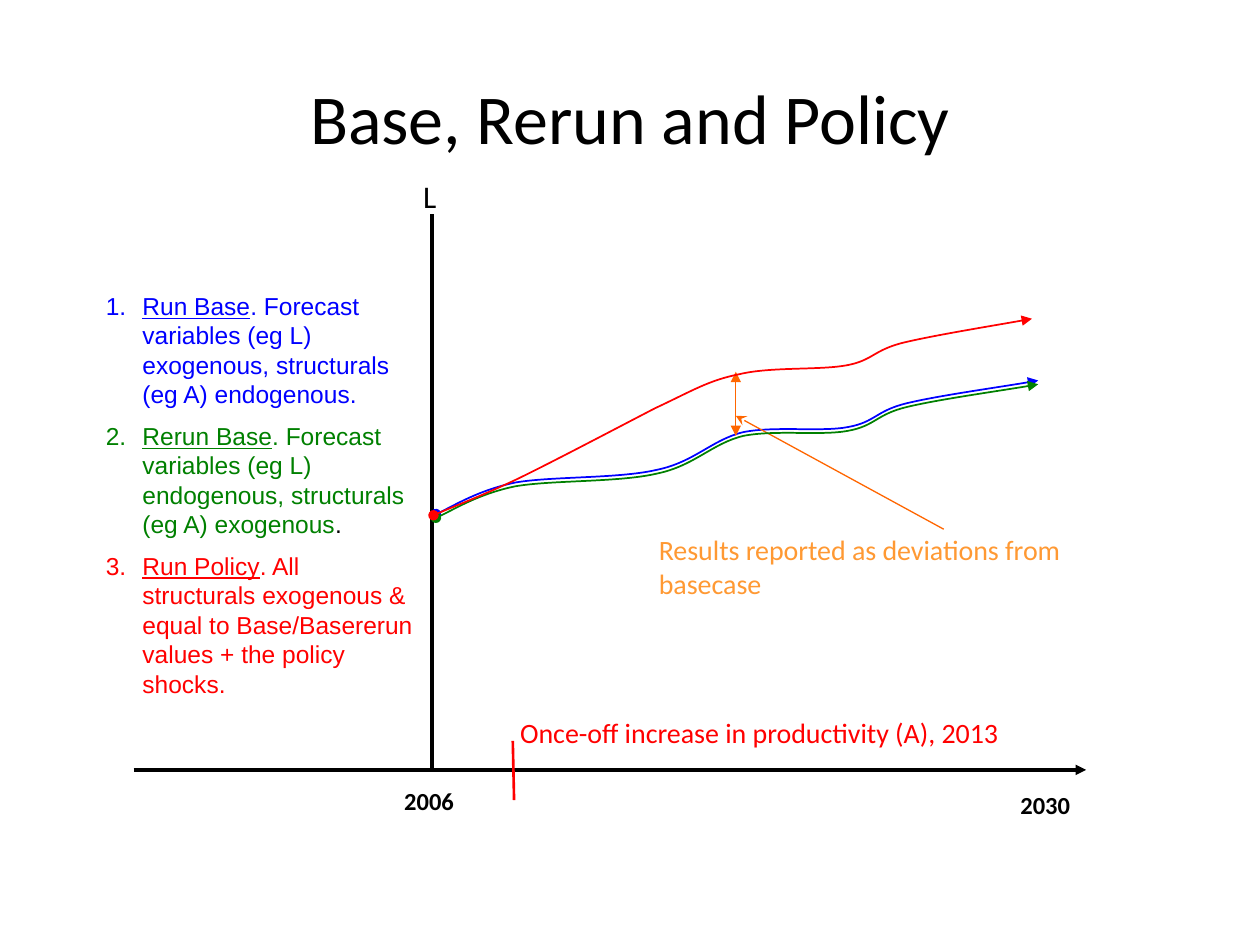
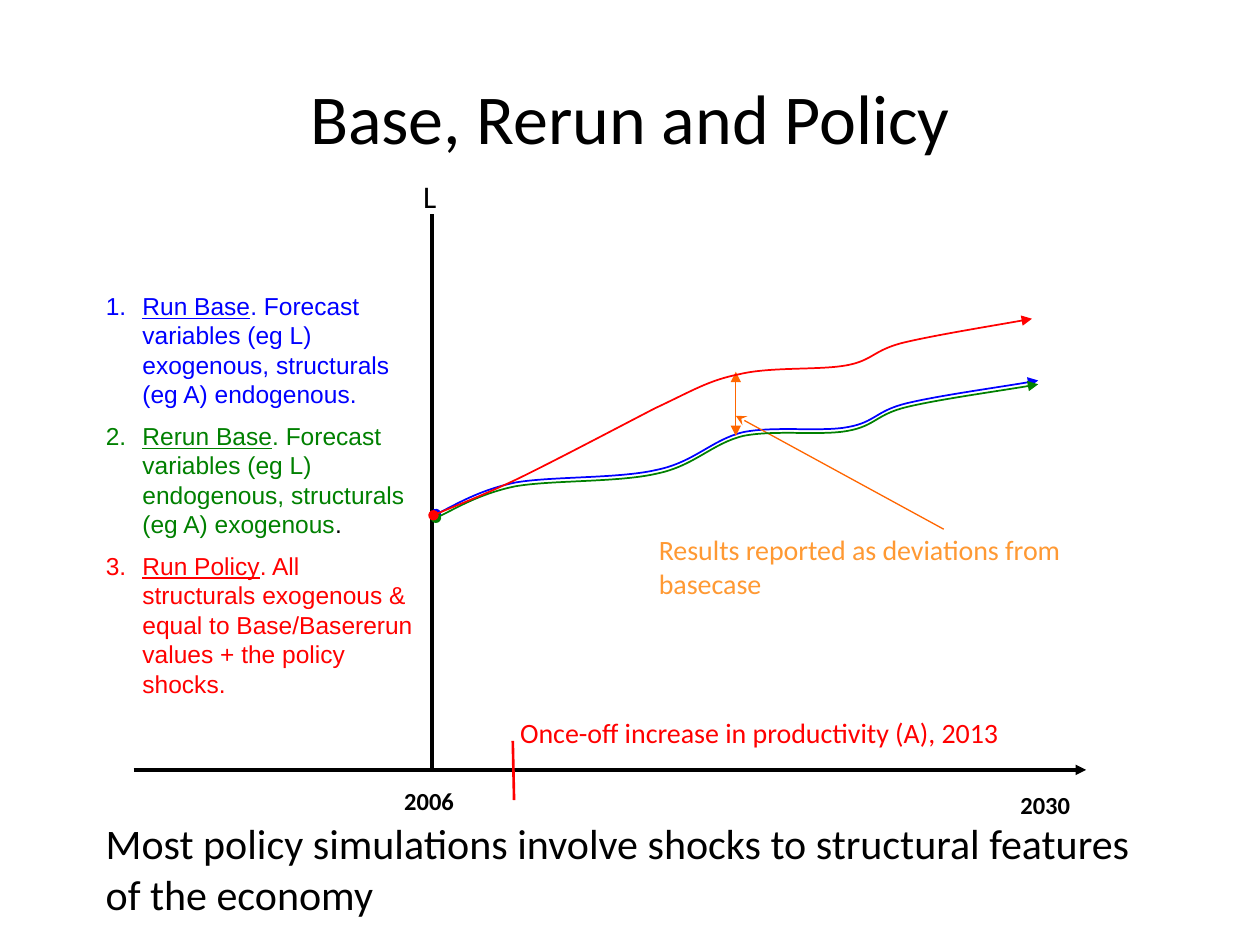
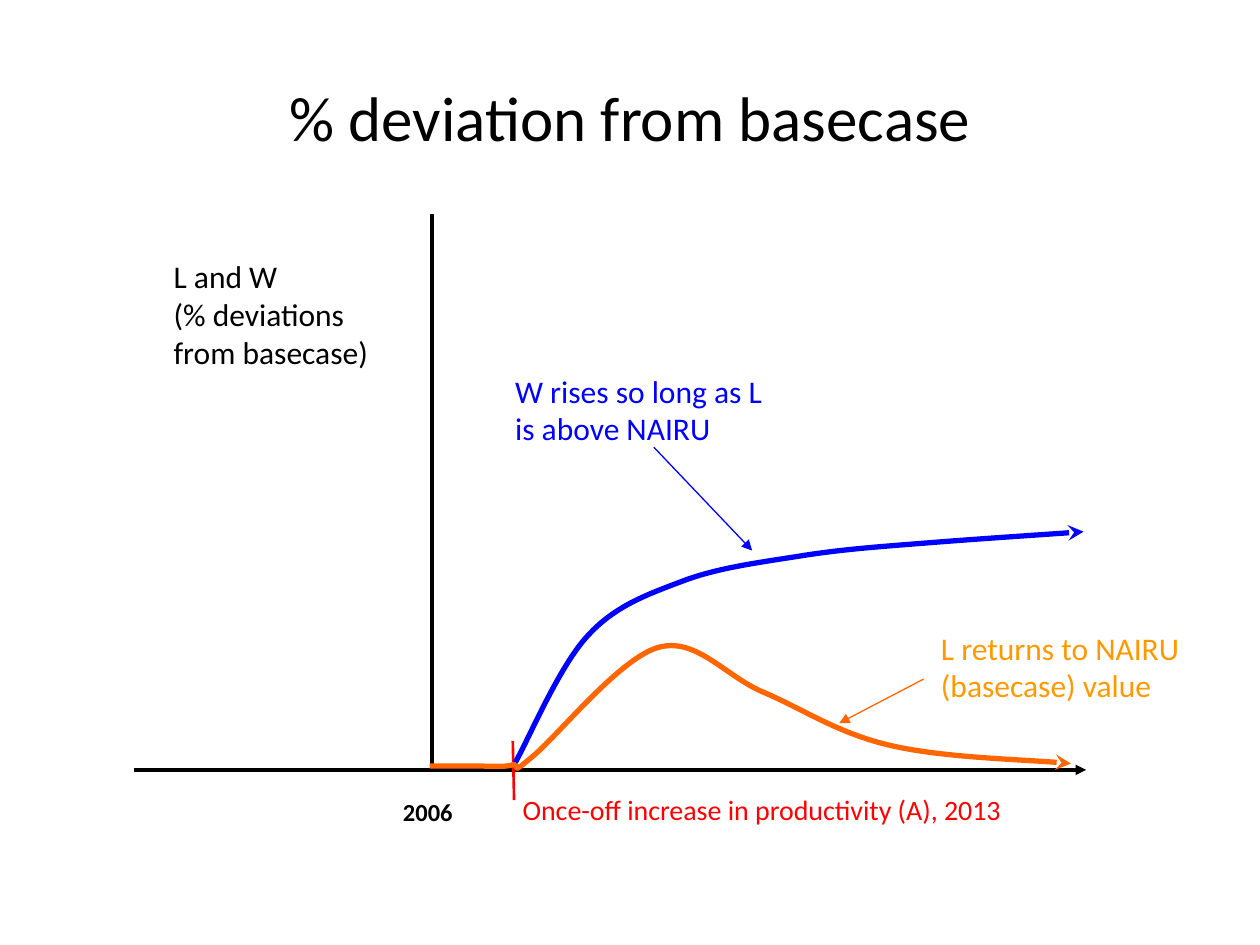
import pptx
import pptx.dml.color
import pptx.enum.shapes
import pptx.enum.text
import pptx.oxml
import pptx.oxml.ns
import pptx.util

COLOURS = {
    "ink": "000000",
    "base": "0000FF",
    "rerun": "008000",
    "policy": "FF0000",
    "deviation": "FF6600",
    "callout": "FF9933",
    "nairu": "FF9900",
}
qn = pptx.oxml.ns.qn
Pt = pptx.util.Pt

deck = pptx.Presentation()
deck.slide_width = pptx.util.Inches(10)
deck.slide_height = pptx.util.Inches(7.5)
COLUMN = deck.slide_width / 10
ROW = deck.slide_height / 7.5


def write(paragraph, text, size, colour, font="Calibri", bold=False, underline=False):
    run = paragraph.add_run()
    run.text = text
    run.font.name = font
    run.font.size = Pt(size)
    run.font.bold = bold
    run.font.underline = underline
    run.font.color.rgb = pptx.dml.color.RGBColor.from_string(COLOURS[colour])


def draw_stroke(shapes, points, colour, width, head="none", tail="none"):
    """Two points give a straight line; more give a chain of Bezier curves."""
    grid = [(round(x * COLUMN), round(y * ROW)) for x, y in points]
    if len(grid) == 2:
        stroke = shapes.add_connector(
            pptx.enum.shapes.MSO_CONNECTOR.STRAIGHT, *grid[0], *grid[1])
    else:
        builder = shapes.build_freeform(*grid[0])
        builder.add_line_segments(grid[1:], close=False)
        stroke = builder.convert_to_shape()
        stroke.fill.background()
        path = stroke._element.spPr.find(".//" + qn("a:path"))
        segments = path.findall(qn("a:lnTo"))
        for start in range(0, len(segments), 3):
            curve = pptx.oxml.parse_xml(f"<a:cubicBezTo {pptx.oxml.ns.nsdecls('a')}/>")
            for segment in segments[start:start + 3]:
                curve.append(segment[0])
                path.remove(segment)
            path.append(curve)
    stroke.line.color.rgb = pptx.dml.color.RGBColor.from_string(COLOURS[colour])
    stroke.line.width = Pt(width)
    properties = stroke._element.spPr
    outline = properties.find(qn("a:ln"))
    for end, kind in (("headEnd", head), ("tailEnd", tail)):
        outline.append(pptx.oxml.parse_xml(
            f'<a:{end} {pptx.oxml.ns.nsdecls("a")} type="{kind}"/>'))
    properties.append(pptx.oxml.parse_xml(f"<a:effectLst {pptx.oxml.ns.nsdecls('a')}/>"))


# Strokes: points, colour, width, head, tail
axes = [
    ([(1.06, 6.11), (8.62, 6.11)], "ink", 2, "none", "triangle"),
    ([(3.43, 6.11), (3.43, 1.7)], "ink", 2),
    ([(4.07, 5.88), (4.08, 6.35)], "policy", 1.5),
]
base_path = [
    (3.46, 4.08), (3.56, 4.04), (3.8, 3.89), (4.09, 3.83),
    (4.38, 3.78), (4.91, 3.8), (5.21, 3.73), (5.51, 3.67), (5.65, 3.49), (5.9, 3.43),
    (6.15, 3.38), (6.52, 3.43), (6.73, 3.39), (6.95, 3.35), (6.95, 3.26), (7.2, 3.2),
    (7.45, 3.14), (8.03, 3.06), (8.24, 3.02),
]
rerun_path = [(x, y + 0.03) for x, y in base_path]
policy_path = [
    (3.44, 4.09), (3.55, 4.04), (3.79, 3.95), (4.09, 3.81),
    (4.38, 3.67), (4.91, 3.39), (5.2, 3.24), (5.5, 3.1), (5.62, 3.02), (5.87, 2.97),
    (6.12, 2.91), (6.5, 2.94), (6.72, 2.9), (6.93, 2.86), (6.93, 2.78), (7.17, 2.72),
    (7.42, 2.66), (7.98, 2.57), (8.19, 2.53),
]
forecast_strokes = [
    (base_path, "base", 1, "oval", "triangle"),
    ([(5.84, 2.95), (5.84, 3.46)], "deviation", 0.75, "triangle", "triangle"),
    ([(5.84, 3.3), (7.49, 4.2)], "deviation", 0.75, "stealth"),
    (rerun_path, "rerun", 1, "oval", "triangle"),
    (policy_path, "policy", 1, "oval", "triangle"),
]
employment_path = [
    (3.41, 6.08), (3.48, 6.08), (3.69, 6.08), (3.8, 6.08),
    (3.91, 6.08), (4.01, 6.09), (4.07, 6.07), (4.14, 6.06), (4.03, 6.17), (4.22, 6.01),
    (4.41, 5.86), (4.91, 5.23), (5.22, 5.14), (5.52, 5.05), (5.75, 5.36), (6.05, 5.49),
    (6.36, 5.62), (6.63, 5.81), (7.04, 5.91), (7.45, 6.01), (8.2, 6.03), (8.5, 6.06),
]
wage_path = [
    (4.09, 6.05), (4.19, 5.88), (4.44, 5.28), (4.67, 5.04),
    (4.89, 4.8), (5.16, 4.71), (5.45, 4.6), (5.73, 4.5), (6.06, 4.46), (6.37, 4.41),
    (6.69, 4.36), (6.97, 4.34), (7.35, 4.31), (7.72, 4.28), (8.34, 4.24), (8.6, 4.22),
]
deviation_strokes = [
    (employment_path, "deviation", 3, "none", "stealth"),
    (wage_path, "base", 3, "none", "stealth"),
    ([(5.19, 3.55), (5.97, 4.37)], "base", 0.75, "none", "triangle"),
    ([(7.33, 5.39), (6.66, 5.74)], "deviation", 0.75, "none", "triangle"),
]

# Labels: left, top, width, height, lines, size, colour, bold
shock = "Once-off increase in productivity (A), 2013"
forecast_labels = [
    (3.26, 1.36, 0.62, 0.4, ["L"], 18, "ink", False),
    (5.13, 4.18, 4.08, 0.64, ["Results reported as deviations from basecase"], 16, "callout", False),
    (4.03, 5.63, 4.74, 0.37, [shock], 16, "policy", False),
    (8, 6.22, 0.77, 0.33, ["2030"], 14, "ink", True),
    (3.11, 6.19, 0.77, 0.33, ["2006"], 14, "ink", True),
]
conclusion = (0.74, 6.44, 8.59, 0.91, [
    "Most policy simulations involve shocks to structural features of the economy",
], 24, "ink", False)
deviation_labels = [
    (3.1, 6.28, 0.77, 0.33, ["2006"], 14, "ink", True),
    (1.28, 1.99, 1.99, 1.01, ["L and W", "(% deviations from basecase)"], 18, "ink", False),
    (4.05, 6.24, 4.74, 0.37, [shock], 16, "policy", False),
    (3.99, 2.9, 2.23, 0.7, ["W rises so long as L is above NAIRU"], 18, "base", False),
    (7.37, 4.94, 2.23, 0.7, ["L returns to NAIRU (basecase) value"], 18, "nairu", False),
]

# Steps: name, explanation, colour, full stop in ink
steps = [
    ("Run Base", ". Forecast variables (eg L) exogenous, structurals (eg A) endogenous.",
     "base", ""),
    ("Rerun Base", ". Forecast variables (eg L) endogenous, structurals (eg A) exogenous",
     "rerun", "."),
    ("Run Policy", ". All structurals exogenous & equal to Base/Basererun values + the policy shocks.",
     "policy", ""),
]

forecast_title = "Base, Rerun and Policy"
slides = [
    (forecast_title, 40, steps, forecast_strokes, forecast_labels),
    (forecast_title, 40, steps, forecast_strokes, forecast_labels + [conclusion]),
    ("% deviation from basecase", 36, [], deviation_strokes, deviation_labels),
]
TITLE_AND_BODY, TITLE_ONLY = deck.slide_layouts[1], deck.slide_layouts[5]

for heading, heading_size, run_steps, strokes, labels in slides:
    slide = deck.slides.add_slide(TITLE_AND_BODY if run_steps else TITLE_ONLY)
    title = slide.shapes.title
    title.left, title.top = round(0.5 * COLUMN), round(0.3 * ROW)
    title.width, title.height = round(9 * COLUMN), round(1.25 * ROW)
    title.text_frame.vertical_anchor = pptx.enum.text.MSO_ANCHOR.MIDDLE
    title.text_frame.paragraphs[0].alignment = pptx.enum.text.PP_ALIGN.CENTER
    write(title.text_frame.paragraphs[0], heading, heading_size, "ink")

    for stroke in axes + strokes:
        draw_stroke(slide.shapes, *stroke)

    for left, top, width, height, lines, size, colour, bold in labels:
        label = slide.shapes.add_textbox(
            round(left * COLUMN), round(top * ROW), round(width * COLUMN), round(height * ROW))
        label.text_frame.word_wrap = True
        label.text_frame.auto_size = pptx.enum.text.MSO_AUTO_SIZE.SHAPE_TO_FIT_TEXT
        for index, line in enumerate(lines):
            paragraph = label.text_frame.add_paragraph() if index else label.text_frame.paragraphs[0]
            write(paragraph, line, size, colour, bold=bold)

    if run_steps:
        procedure = slide.placeholders[1]
        procedure.left, procedure.top = round(0.74 * COLUMN), round(2.26 * ROW)
        procedure.width, procedure.height = round(2.68 * COLUMN), round(4.07 * ROW)
        procedure.text_frame.auto_size = pptx.enum.text.MSO_AUTO_SIZE.NONE
        procedure.text_frame.vertical_anchor = pptx.enum.text.MSO_ANCHOR.TOP
    for index, (name, explanation, colour, full_stop) in enumerate(run_steps):
        frame = procedure.text_frame
        paragraph = frame.add_paragraph() if index else frame.paragraphs[0]
        paragraph.space_before = Pt(7 if index else 0)
        numbering = paragraph._p.get_or_add_pPr()
        numbering.set("marL", str(round(0.29 * COLUMN)))
        numbering.set("indent", str(round(-0.29 * COLUMN)))
        for element in (
            f'<a:buClr {pptx.oxml.ns.nsdecls("a")}><a:srgbClr val="{COLOURS[colour]}"/></a:buClr>',
            f'<a:buFont {pptx.oxml.ns.nsdecls("a")} typeface="Arial"/>',
            f'<a:buAutoNum {pptx.oxml.ns.nsdecls("a")} type="arabicPeriod"/>',
        ):
            numbering.append(pptx.oxml.parse_xml(element))
        write(paragraph, name, 14, colour, font="Arial", underline=True)
        write(paragraph, explanation, 14, colour, font="Arial")
        if full_stop:
            write(paragraph, full_stop, 14, "ink", font="Arial")

deck.save("out.pptx")
